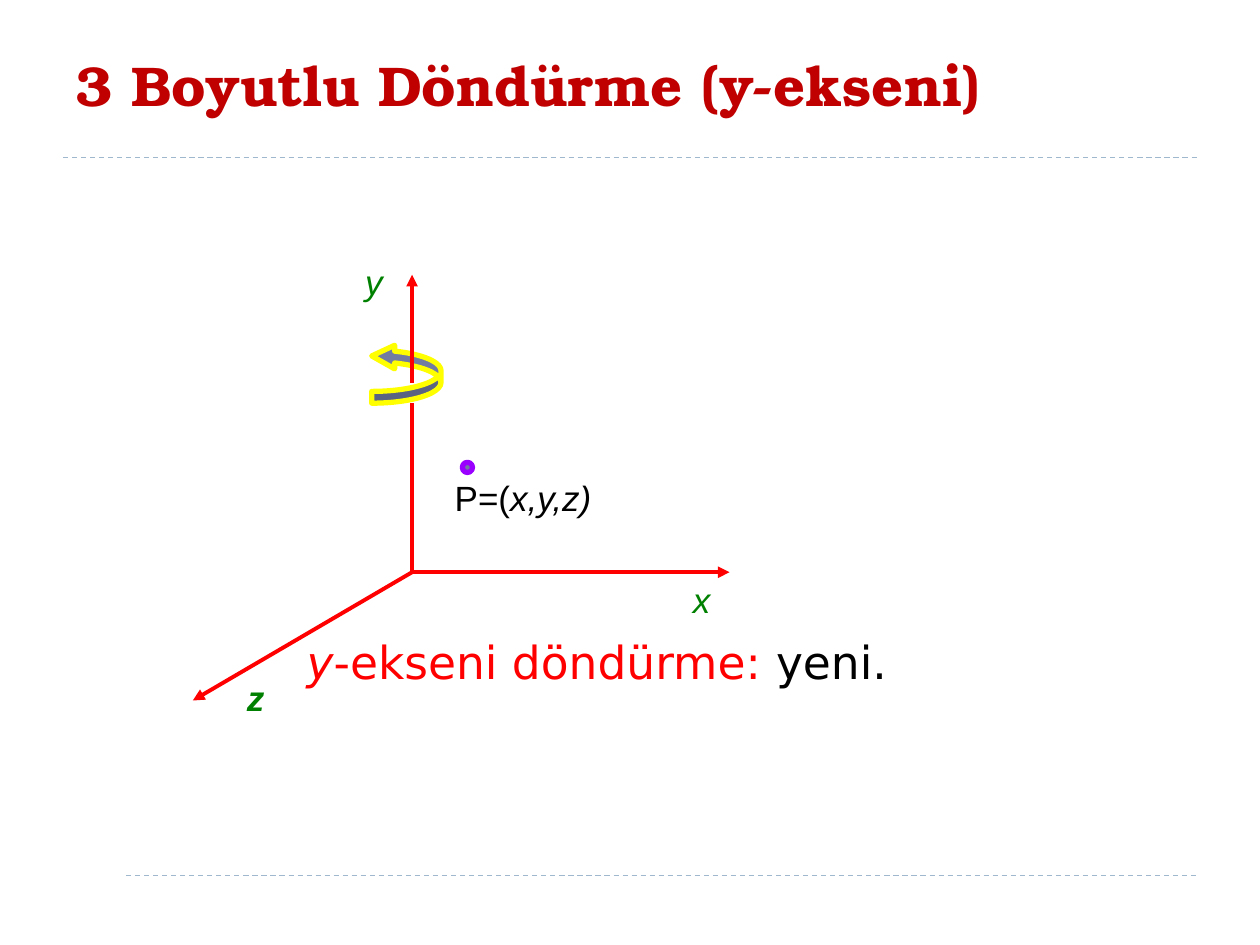
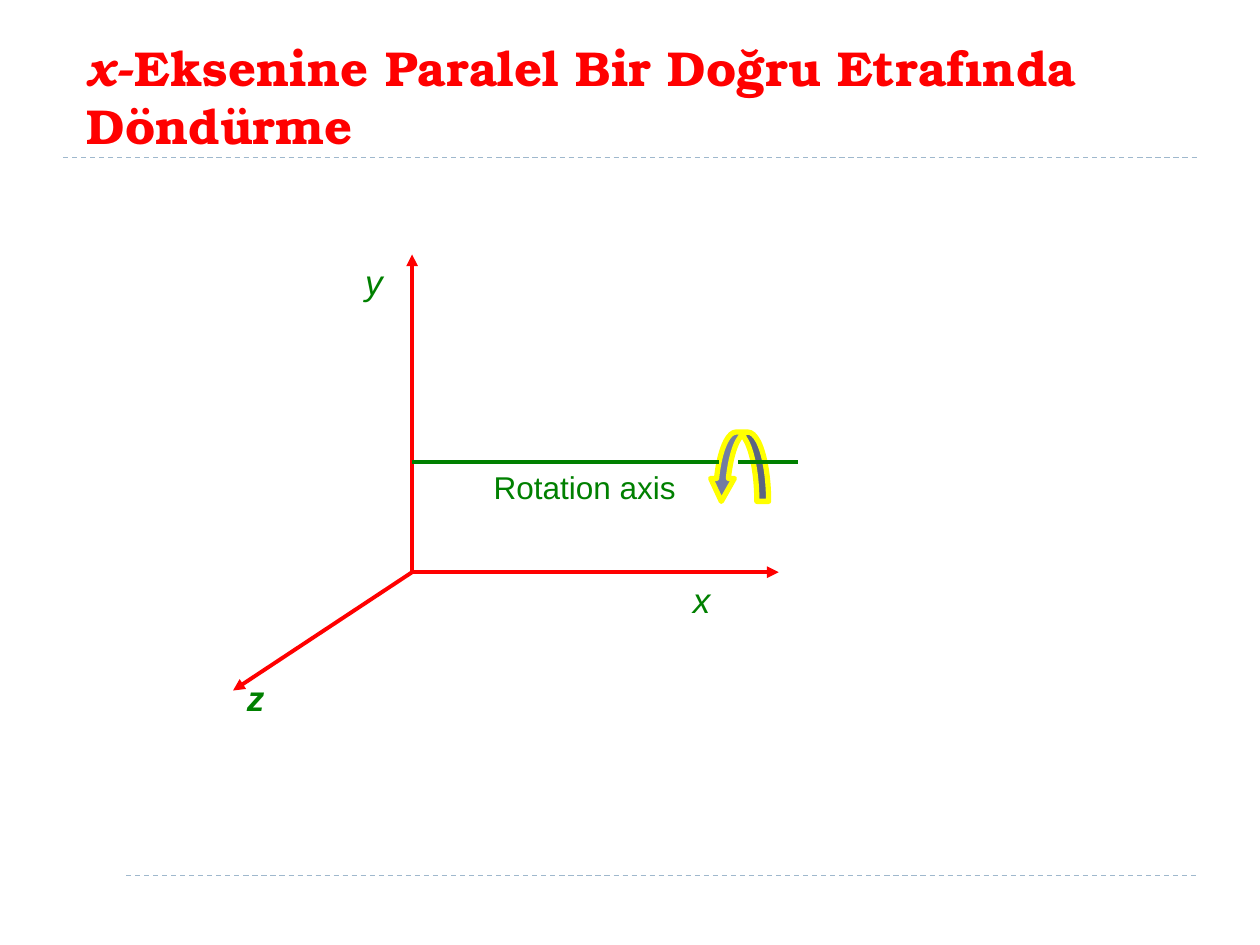
"""Build two slides on rotation about axes in three dimensions."""
import dataclasses
import typing

import lxml.etree
import pptx
import pptx.dml.color
import pptx.enum.dml
import pptx.enum.shapes
import pptx.enum.text
import pptx.oxml.ns
import pptx.util

Pt = pptx.util.Pt
Shape = pptx.enum.shapes.MSO_SHAPE
Point = tuple[float, float]
Box = tuple[float, float, float, float]


@dataclasses.dataclass(frozen=True)
class Theme:
    rule: str = "9FB8CD"
    deep: str = "C00000"
    red: str = "FF0000"
    green: str = "008000"
    black: str = "000000"
    steel: str = "727CA3"
    yellow: str = "FFFF00"
    violet: str = "9900FF"
    serif: str = "TeX Gyre Bonum"
    sans: str = "Arial"
    wide: str = "DejaVu Sans"
    head: float = 32
    subhead: float = 28
    body: float = 26
    label: float = 20
    small: float = 18
    thin: float = 0.75
    line: float = 2.25
    edge: float = 3


THEME = Theme()
ORIGIN: Point = (235.5, 327)


class Bit(typing.NamedTuple):
    text: str
    color: str
    slant: bool = False
    bold: bool = False


class Label(typing.NamedTuple):
    box: Box
    bits: list[Bit]
    size: float = THEME.label
    font: str = THEME.sans
    inset: Point = (7.2, 3.6)


class Line(typing.NamedTuple):
    start: Point
    end: Point
    color: str = THEME.red
    arrow: bool = False
    width: float = THEME.line
    dash: bool = False


class Solid(typing.NamedTuple):
    kind: Shape
    box: Box
    edge: str
    turn: float = 0
    bends: tuple[float, ...] = ()


class Page(typing.NamedTuple):
    box: Box
    title: list[Bit]
    size: float
    solids: list[Solid]
    lines: list[Line]
    labels: list[Label]


RULES = [
    Line((36, 90), (684, 90), THEME.rule, width=THEME.thin, dash=True),
    Line((72, 500.4), (684, 500.4), THEME.rule, width=THEME.thin, dash=True),
]

AXES = [
    Label((388.8, 327, 34, 31), [Bit("x", THEME.green, True)]),
    Label((201.6, 145.5, 39.6, 31), [Bit("y", THEME.green, True)]),
    Label((134, 383, 39.6, 31), [Bit("z", THEME.green, True, True)]),
]


def tint(color: str) -> pptx.dml.color.RGBColor:
    return pptx.dml.color.RGBColor.from_string(color)


def write(frame: typing.Any, bits: list[Bit], size: float, font: str) -> None:
    par = frame.paragraphs[0]
    par.alignment = pptx.enum.text.PP_ALIGN.LEFT
    for bit in bits:
        run = par.add_run()
        run.text = bit.text
        run.font.name = font
        run.font.size = Pt(size)
        run.font.bold = bit.bold
        run.font.italic = bit.slant
        run.font.color.rgb = tint(bit.color)


def add_title(slide: typing.Any, page: Page) -> None:
    title = slide.shapes.title
    title.left, title.top, title.width, title.height = map(Pt, page.box)
    frame = title.text_frame
    frame.word_wrap = True
    frame.auto_size = pptx.enum.text.MSO_AUTO_SIZE.NONE
    frame.vertical_anchor = pptx.enum.text.MSO_ANCHOR.MIDDLE
    write(frame, page.title, page.size, THEME.serif)


def add_label(slide: typing.Any, label: Label) -> None:
    frame = slide.shapes.add_textbox(*map(Pt, label.box)).text_frame
    frame.word_wrap = True
    frame.margin_left = frame.margin_right = Pt(label.inset[0])
    frame.margin_top = frame.margin_bottom = Pt(label.inset[1])
    write(frame, label.bits, label.size, label.font)


def add_line(slide: typing.Any, line: Line) -> None:
    link = slide.shapes.add_connector(
        pptx.enum.shapes.MSO_CONNECTOR.STRAIGHT, *map(Pt, line.start + line.end))
    link.line.color.rgb = tint(line.color)
    link.line.width = Pt(line.width)
    if line.dash:
        link.line.dash_style = pptx.enum.dml.MSO_LINE.DASH
    name = pptx.oxml.ns.qn
    props = link._element.spPr
    if line.arrow:
        lxml.etree.SubElement(props.find(name("a:ln")), name("a:tailEnd"), type="triangle")
    lxml.etree.SubElement(props, name("a:effectLst"))


def add_solid(slide: typing.Any, solid: Solid) -> None:
    shape = slide.shapes.add_shape(solid.kind, *map(Pt, solid.box))
    shape.shadow.inherit = False
    shape.rotation = solid.turn
    for spot, bend in enumerate(solid.bends):
        shape.adjustments[spot] = bend
    shape.fill.solid()
    shape.fill.fore_color.rgb = tint(THEME.steel)
    shape.line.color.rgb = tint(solid.edge)
    shape.line.width = Pt(THEME.edge)


def spin(left: float, top: float, turn: float) -> Solid:
    return Solid(Shape.CURVED_RIGHT_ARROW, (left, top, 39.6, 33.8),
                 THEME.yellow, turn, (0.2, 0.4, 0.388))


def add_page(deck: typing.Any, page: Page) -> None:
    slide = deck.slides.add_slide(deck.slide_layouts[5])
    add_title(slide, page)
    for solid in page.solids:
        add_solid(slide, solid)
    for line in RULES + page.lines:
        add_line(slide, line)
    for label in AXES + page.labels:
        add_label(slide, label)


PAGES = [
    Page(
        (36, 9.4, 648, 77.8),
        [Bit("3 Boyutlu Döndürme (y-ekseni)", THEME.deep, bold=True)],
        THEME.head,
        [
            Solid(Shape.FLOWCHART_CONNECTOR, (264.2, 264.2, 5.8, 5.8), THEME.violet),
            spin(212.4, 196.6, 180),
        ],
        [
            Line(ORIGIN, (416.9, 327), arrow=True),
            Line(ORIGIN, (110.2, 400.3), arrow=True),
            Line(ORIGIN, (235.5, 230.4)),
            Line((235.5, 218.9), (235.5, 157), arrow=True),
        ],
        [
            Label((252.7, 268.6, 152.6, 31),
                  [Bit("P=(", THEME.black), Bit("x,y,z)", THEME.black, True)]),
            Label((175.3, 362.5, 360, 32),
                  [Bit("y", THEME.red, True), Bit("-ekseni döndürme: ", THEME.red),
                   Bit("yeni.", THEME.black)],
                  THEME.body, THEME.wide, (0, 0)),
        ],
    ),
    Page(
        (42.5, 9.4, 646.6, 90.7),
        [Bit("x", THEME.red, True, True),
         Bit("-Eksenine Paralel Bir Doğru Etrafında Döndürme", THEME.red, bold=True)],
        THEME.subhead,
        [spin(402.5, 249.8, 90)],
        [
            Line(ORIGIN, (235.5, 145.4), arrow=True),
            Line(ORIGIN, (133.2, 394.6), arrow=True),
            Line(ORIGIN, (445, 327), arrow=True),
            Line((235.5, 264.2), (411.1, 264.2), THEME.green),
            Line((421.9, 264.2), (455.8, 264.2), THEME.green),
        ],
        [Label((275, 264.2, 152.6, 28.8), [Bit("Rotation axis", THEME.green)], THEME.small)],
    ),
]


def main() -> None:
    deck = pptx.Presentation()
    deck.slide_width, deck.slide_height = Pt(720), Pt(540)
    for page in PAGES:
        add_page(deck, page)
    deck.save("out.pptx")


if __name__ == "__main__":
    main()
